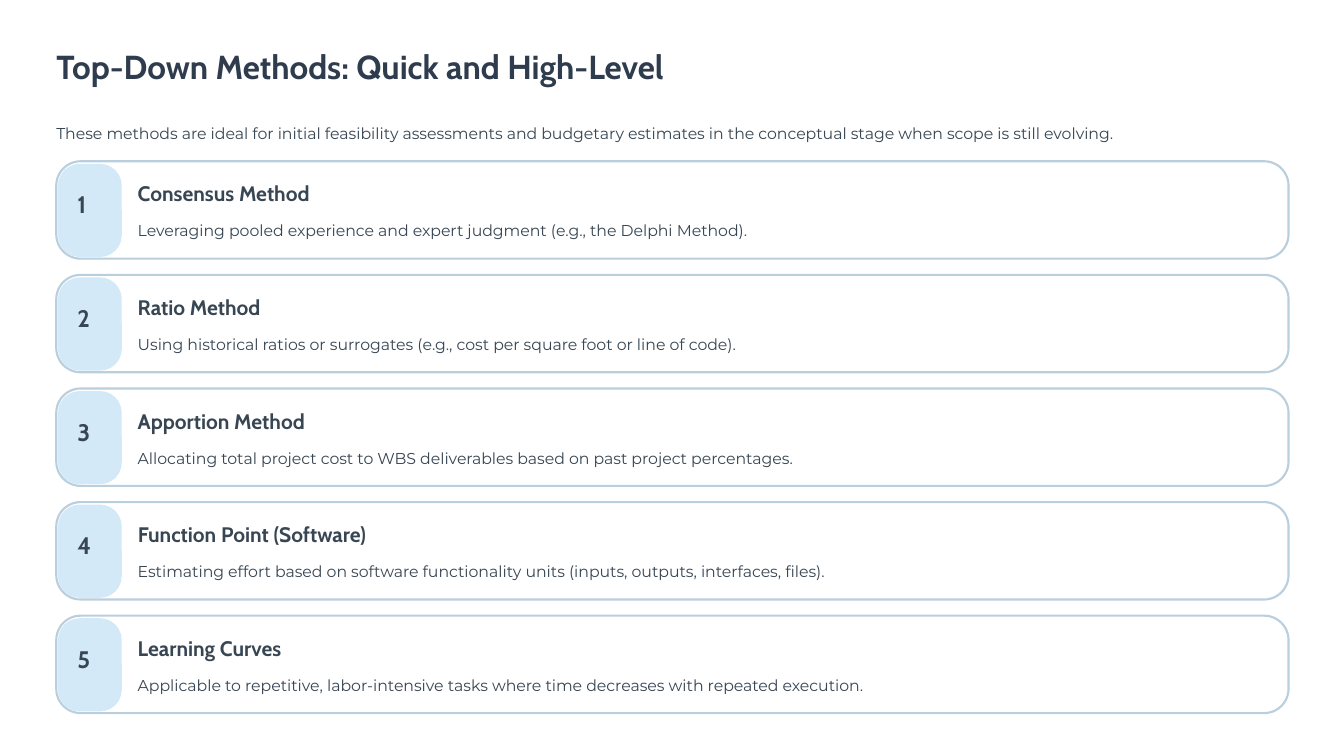
from pptx import Presentation
from pptx.dml.color import RGBColor
from pptx.enum.shapes import MSO_SHAPE
from pptx.enum.text import MSO_ANCHOR, MSO_AUTO_SIZE, PP_ALIGN
from pptx.util import Inches, Pt

ROUND = MSO_SHAPE.ROUNDED_RECTANGLE
TOP = MSO_ANCHOR.TOP
FIXED = MSO_AUTO_SIZE.NONE
LEFT = PP_ALIGN.LEFT

# Theme: colours, and for each style font, size, line height, bold, colour
THEME = {
    "card": "FFFFFF",
    "edge": "BACFDD",
    "tab": "D4E9F7",
    "title": ("Cabin", 28.5, 36, True, "2E3C4E"),
    "head": ("Cabin", 18, 22.5, True, "384653"),
    "num": ("Cabin", 20.5, 20.5, True, "384653"),
    "body": ("Montserrat", 13.5, 21.5, False, "384653"),
}

METHODS = [
    ("Consensus Method", 2.5,
     "Leveraging pooled experience and expert judgment (e.g., the Delphi Method)."),
    ("Ratio Method", 2.5,
     "Using historical ratios or surrogates (e.g., cost per square foot or line of code)."),
    ("Apportion Method", 2.5,
     "Allocating total project cost to WBS deliverables based on past project percentages."),
    ("Function Point (Software)", 2.85,
     "Estimating effort based on software functionality units (inputs, outputs, interfaces, files)."),
    ("Learning Curves", 2.5,
     "Applicable to repetitive, labor-intensive tasks where time decreases with repeated execution."),
]

deck = Presentation()
deck.slide_width, deck.slide_height = Inches(16), Inches(9)
slide = deck.slides.add_slide(deck.slide_layouts[5])
shapes = slide.shapes


def write(text, style, x, y, w, h, box=None):
    box = box or shapes.add_textbox(0, 0, 0, 0)
    place = {"left": x, "top": y, "width": w, "height": h}
    for key, val in place.items():
        setattr(box, key, Inches(val))
    frame = box.text_frame
    form = {"margin_left": 0, "margin_top": 0, "margin_right": 0, "margin_bottom": 0,
            "word_wrap": False, "auto_size": FIXED, "vertical_anchor": TOP}
    for key, val in form.items():
        setattr(frame, key, val)
    name, size, line, bold, color = THEME[style]
    para = frame.paragraphs[0]
    para.alignment, para.line_spacing = LEFT, Pt(line)
    run = para.add_run()
    run.text = text
    for key, val in {"name": name, "size": Pt(size), "bold": bold}.items():
        setattr(run.font, key, val)
    run.font.color.rgb = RGBColor.from_string(color)


def panel(x, y, w, h, bend, fill, edge=None):
    shape = shapes.add_shape(ROUND, Inches(x), Inches(y), Inches(w), Inches(h))
    shape.adjustments[0] = bend
    shape.shadow.inherit = False
    shape.fill.solid()
    shape.fill.fore_color.rgb = RGBColor.from_string(fill)
    if edge:
        shape.line.color.rgb = RGBColor.from_string(edge)
        shape.line.width = Pt(1.8)
    else:
        shape.line.fill.background()


# Title and intro
write("Top-Down Methods: Quick and High-Level", "title", 0.67, 0.52, 7.34, 0.5, shapes.title)
write("These methods are ideal for initial feasibility assessments and budgetary "
      "estimates in the conceptual stage when scope is still evolving.",
      "body", 0.67, 1.4, 14.67, 0.3)

# Numbered method cards, evenly spaced from first to last
first, last = 1.92, 7.33
step = (last - first) / (len(METHODS) - 1)
for i, (head, wide, note) in enumerate(METHODS):
    y = first + i * step
    panel(0.67, y, 14.67, 1.16, 0.25, THEME["card"], THEME["edge"])
    panel(0.69, y + 0.03, 0.76, 1.11, 0.34, THEME["tab"])
    write(str(i + 1), "num", 0.92, y + 0.4, 0.29, 0.36)
    write(head, "head", 1.64, y + 0.22, wide, 0.31)
    write(note, "body", 1.64, y + 0.64, 13.67, 0.3)

deck.save("out.pptx")
